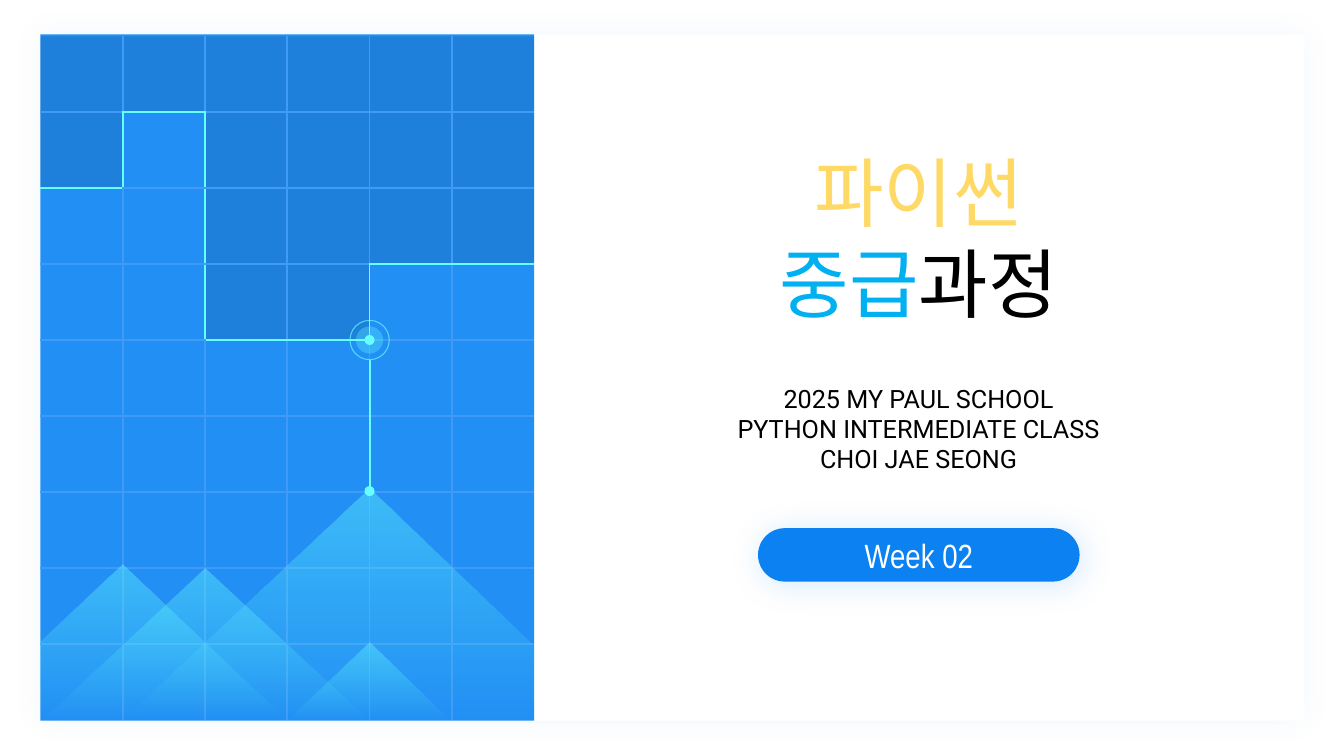
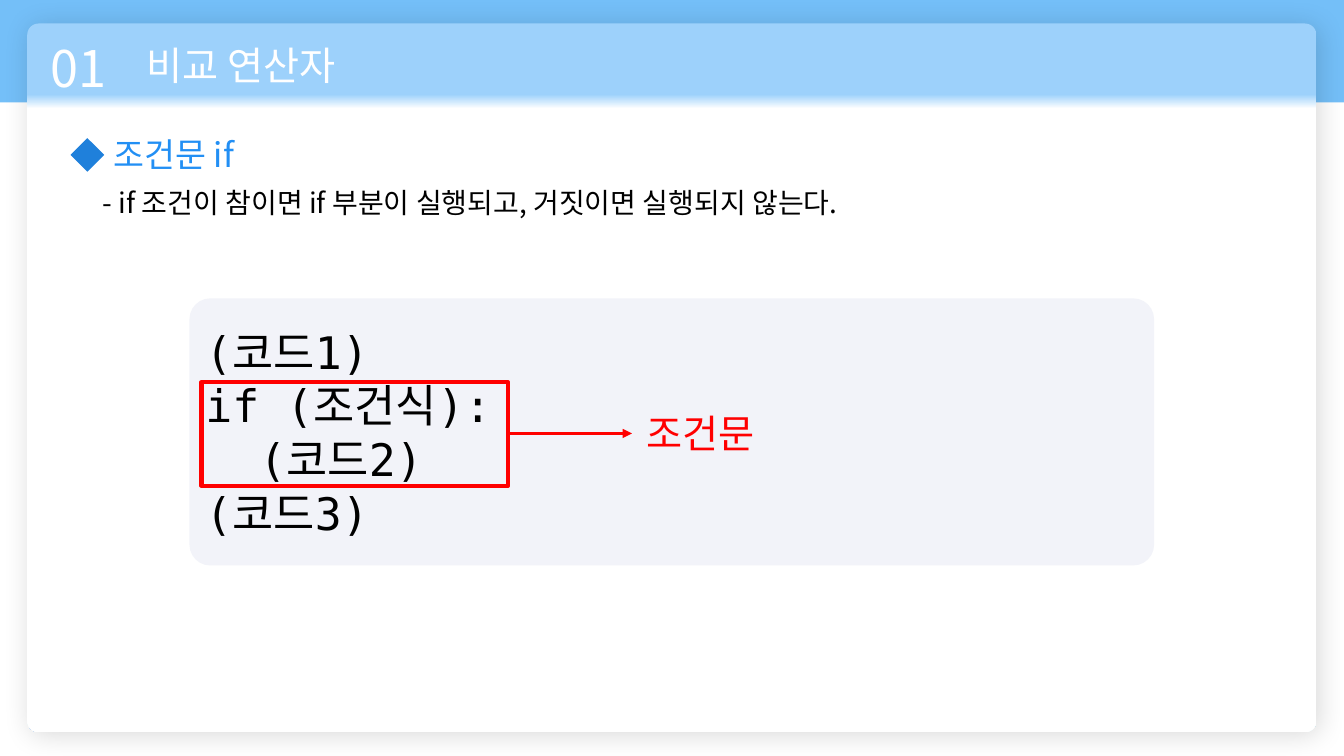
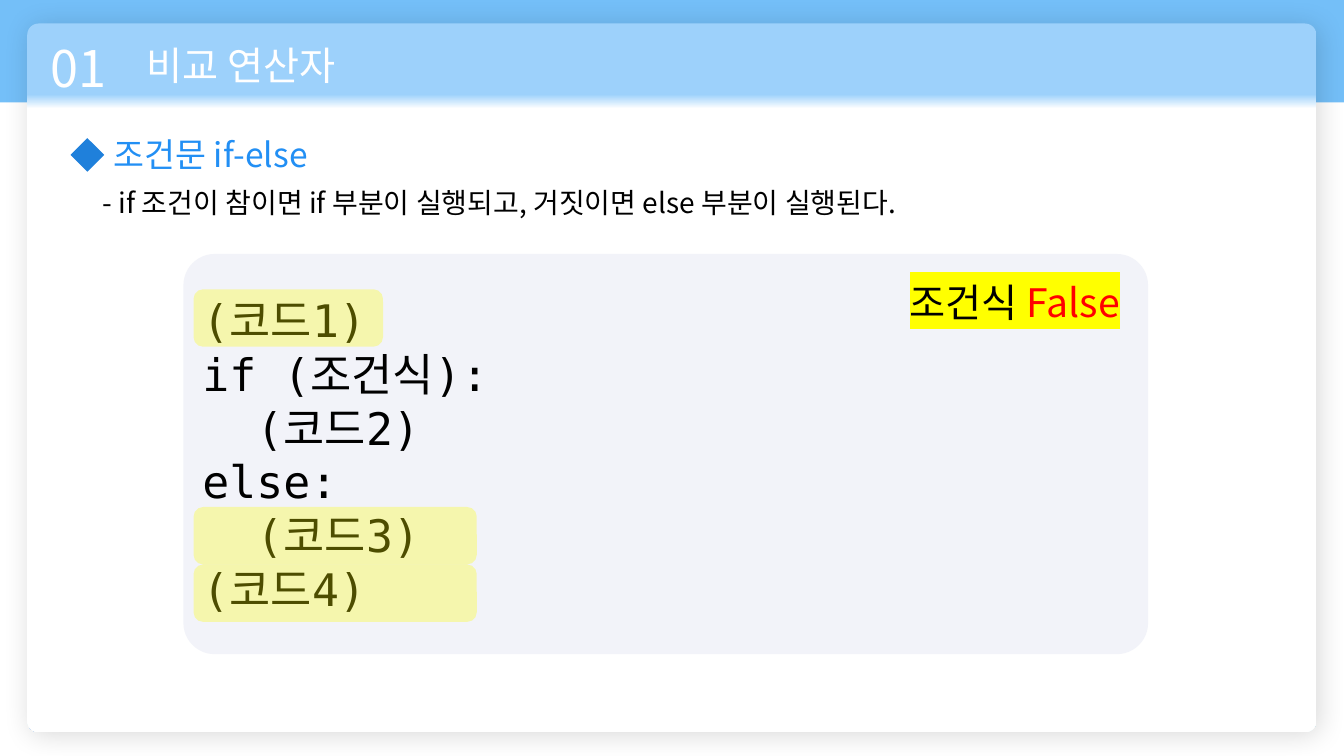
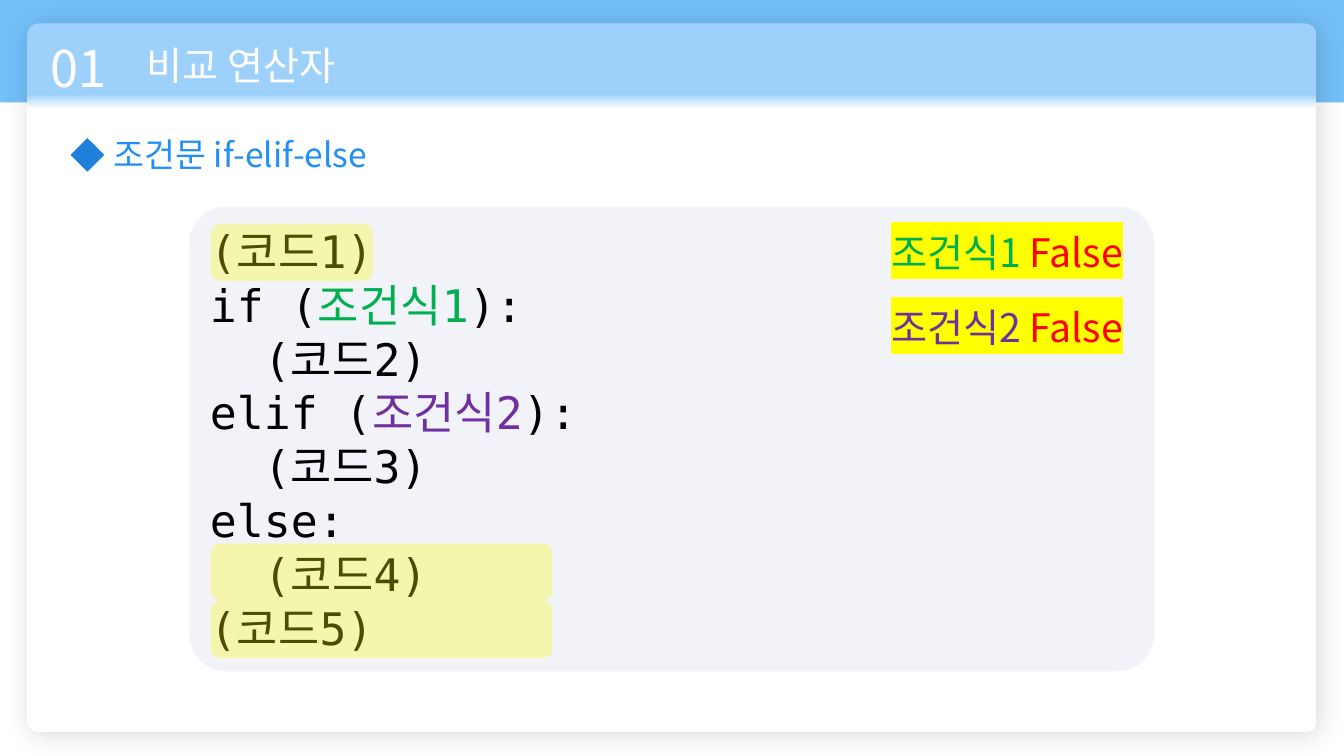
"""Build the title and three conditional-statement slides of a Python course."""
from dataclasses import dataclass

from pptx import Presentation
from pptx.dml.color import RGBColor
from pptx.enum.shapes import MSO_CONNECTOR, MSO_SHAPE
from pptx.enum.text import MSO_ANCHOR, MSO_AUTO_SIZE, PP_ALIGN
from pptx.oxml import parse_xml
from pptx.oxml.ns import nsdecls, qn
from pptx.oxml.xmlchemy import OxmlElement
from pptx.util import Inches, Pt

RECT, ROUND = MSO_SHAPE.RECTANGLE, MSO_SHAPE.ROUNDED_RECTANGLE
OVAL, DIAMOND = MSO_SHAPE.OVAL, MSO_SHAPE.DIAMOND
STRAIGHT = MSO_CONNECTOR.STRAIGHT
LEFT, CENTER, RIGHT = PP_ALIGN.LEFT, PP_ALIGN.CENTER, PP_ALIGN.RIGHT
MIDDLE = MSO_ANCHOR.MIDDLE
FIT = MSO_AUTO_SIZE.SHAPE_TO_FIT_TEXT


@dataclass(frozen=True)
class Theme:
    """Colours, fonts and type sizes."""
    white: str = "FFFFFF"
    black: str = "000000"
    blue: str = "228FF4"
    pill: str = "0C81F2"
    diamond: str = "1F80DB"
    mesh: str = "409BF6"
    cyan: str = "66FFFF"
    band: str = "74BFF8"
    header: str = "9DD1FB"
    code_bg: str = "F2F3F9"
    gold: str = "FFD966"
    sky: str = "00B0F0"
    red: str = "FF0000"
    yellow: str = "FFFF00"
    green: str = "00B050"
    purple: str = "7030A0"
    sans: str = "Noto Sans CJK KR"
    mono: str = "DejaVu Sans Mono"
    latin: str = "Roboto"
    narrow: str = "Arial Narrow"
    cover: int = 54
    number: int = 36
    code: int = 32
    title: int = 28
    head: int = 24
    note: int = 20
    small: int = 18


T = Theme()
COLS, ROWS = 40, 22.5
MESH_LEFT, MESH_TOP, MESH_COL, MESH_ROW = 1.2, 1.08, 2.45, 2.26
DARK_DEPTHS, MESH_ROWS = (2, 1, 4, 4, 3, 3), 9
CODE_LEFT, CODE_WIDTH = 5.64, 28.71
MARK_HEIGHT = 1.71


def u(n):
    """Convert grid units to a length; the slide is 40 by 22.5 units."""
    return Inches(n / 3)


def mesh(c, r):
    """Return the slide position of a mesh column and row."""
    return MESH_LEFT + MESH_COL * c, MESH_TOP + MESH_ROW * r


def color_xml(color, alpha=100):
    """Return the XML of a colour with an opacity in percent."""
    return f'<a:srgbClr val="{color}"><a:alpha val="{alpha * 1000}"/></a:srgbClr>'


def set_alpha(fill_parent, alpha):
    """Make the solid fill under an element translucent."""
    color = fill_parent.find(qn("a:solidFill")).find(qn("a:srgbClr"))
    mark = OxmlElement("a:alpha")
    mark.set("val", str(alpha * 1000))
    color.append(mark)


def paint(sp, fill=None, alpha=100, line=None, weight=1.5, line_alpha=100):
    """Set the fill and line of a shape and clear its shadow."""
    sp.shadow.inherit = False
    if fill:
        sp.fill.solid()
        sp.fill.fore_color.rgb = RGBColor.from_string(fill)
        if alpha < 100:
            set_alpha(sp._element.spPr, alpha)
    else:
        sp.fill.background()
    if line:
        sp.line.color.rgb = RGBColor.from_string(line)
        sp.line.width = Pt(weight)
        if line_alpha < 100:
            set_alpha(sp.line._ln, line_alpha)
    else:
        sp.line.fill.background()


def add_shape(s, kind, x, y, w, h, fill=None, radius=None, **look):
    """Add a preset shape in grid units."""
    sp = s.shapes.add_shape(kind, u(x), u(y), u(w), u(h))
    if radius is not None:
        sp.adjustments[0] = radius
    paint(sp, fill, **look)
    return sp


def add_shadow(sp, color, alpha, blur, dist=0, angle=0):
    """Give a shape a soft outer shadow."""
    sp._element.spPr.find(qn("a:effectLst")).append(parse_xml(
        f'<a:outerShdw {nsdecls("a")} blurRad="{Pt(blur)}" dist="{Pt(dist)}" '
        f'dir="{angle * 60000}" rotWithShape="0">{color_xml(color, alpha)}</a:outerShdw>'))


def add_gradient(sp, *stops):
    """Replace the empty fill of a shape by a downward gradient."""
    marks = "".join(f'<a:gs pos="{pos * 1000}">{color_xml(color, alpha)}</a:gs>'
                    for pos, color, alpha in stops)
    spPr = sp._element.spPr
    spPr.replace(spPr.find(qn("a:noFill")), parse_xml(
        f'<a:gradFill {nsdecls("a")} rotWithShape="1"><a:gsLst>{marks}</a:gsLst>'
        '<a:lin ang="5400000" scaled="0"/></a:gradFill>'))


def add_line(s, x1, y1, x2, y2, color, weight, arrow=False):
    """Add a straight line, with an arrowhead if wanted."""
    line = s.shapes.add_connector(STRAIGHT, u(x1), u(y1), u(x2), u(y2))
    line.line.color.rgb = RGBColor.from_string(color)
    line.line.width = Pt(weight)
    if arrow:
        head = OxmlElement("a:tailEnd")
        head.set("type", "triangle")
        line.line._ln.append(head)
    line._element.spPr.append(OxmlElement("a:effectLst"))


def format_run(r, size, font, color, highlight=None):
    """Set the type of a run."""
    r.font.size = Pt(size)
    r.font.color.rgb = RGBColor.from_string(color)
    r.font.name = font
    latin = r._r.get_or_add_rPr().find(qn("a:latin"))
    ea = OxmlElement("a:ea")
    ea.set("typeface", T.sans)
    latin.addnext(ea)
    if highlight:
        latin.addprevious(parse_xml(
            f'<a:highlight {nsdecls("a")}>{color_xml(highlight)}</a:highlight>'))


def write(tf, lines, size, font=T.sans, color=T.black, align=LEFT, highlight=None):
    """Write lines, each a string or a list of (text, colour) pairs."""
    tf.word_wrap = True
    for i, line in enumerate(lines):
        p = tf.add_paragraph() if i else tf.paragraphs[0]
        p.alignment = align
        for text, tint in [(line, color)] if isinstance(line, str) else line:
            r = p.add_run()
            r.text = text
            format_run(r, size, font, tint, highlight)


def add_text(s, x, y, w, h, lines, size, **style):
    """Add a text box in grid units."""
    tf = s.shapes.add_textbox(u(x), u(y), u(w), u(h)).text_frame
    write(tf, lines, size, **style)
    tf.auto_size = FIT


def style_cell(cell, dark, edges):
    """Fill a mesh cell and draw its left, right, top and bottom edges."""
    tcPr = cell._tc.get_or_add_tcPr()
    if dark:
        cell.fill.solid()
        cell.fill.fore_color.rgb = RGBColor.from_string(T.black)
        set_alpha(tcPr, 10)
    else:
        cell.fill.background()
    for i, (side, color) in enumerate(zip("LRTB", edges)):
        fill = f"<a:solidFill>{color_xml(color)}</a:solidFill>" if color else "<a:noFill/>"
        tcPr.insert(i, parse_xml(
            f'<a:ln{side} {nsdecls("a")} w="{Pt(1.5)}">{fill}</a:ln{side}>'))


def add_mesh(s):
    """Add the mesh table, with a bright edge between dark and light cells."""
    cols = len(DARK_DEPTHS)
    table = s.shapes.add_table(MESH_ROWS, cols, u(MESH_LEFT), u(MESH_TOP),
                               u(MESH_COL * cols), u(MESH_ROW * MESH_ROWS)).table
    table.first_row = table.horz_banding = False

    def is_dark(c, r):
        return r < DARK_DEPTHS[c]

    def edge(c, r, c2, r2):
        if not (0 <= c2 < cols and 0 <= r2 < MESH_ROWS):
            return None
        return T.mesh if is_dark(c, r) == is_dark(c2, r2) else T.cyan

    for r in range(MESH_ROWS):
        for c in range(cols):
            near = ((c - 1, r), (c + 1, r), (c, r - 1), (c, r + 1))
            style_cell(table.cell(r, c), is_dark(c, r), [edge(c, r, *n) for n in near])


def add_circle(s, c, r, d, fill=None, **look):
    """Add a circle centred on a mesh point."""
    x, y = mesh(c, r)
    add_shape(s, OVAL, x - d / 2, y - d / 2, d, d, fill, **look)


def add_mountain(s, *points):
    """Add a fading mountain from mesh points."""
    start, *rest = [tuple(u(n) for n in mesh(*point)) for point in points]
    builder = s.shapes.build_freeform(*start)
    builder.add_line_segments(rest, close=True)
    sp = builder.convert_to_shape()
    paint(sp)
    add_gradient(sp, (0, T.cyan, 41), (100, T.cyan, 0))


def add_signal(s):
    """Add the radar point with its stem."""
    add_circle(s, 4, 4, 0.81, T.cyan, alpha=30)
    add_circle(s, 4, 4, 1.17, line=T.cyan, weight=0.75, line_alpha=70)
    add_line(s, *mesh(4, 4.26), *mesh(4, 5.95), T.cyan, 1.5)
    add_circle(s, 4, 4, 0.3, T.cyan)


def cover_slide(s):
    """Build the title slide."""
    top, height = 1.02, 20.43
    frame = add_shape(s, RECT, MESH_LEFT, top, 37.62, height, T.white)
    add_shadow(frame, T.pill, 5, 20)
    add_shape(s, RECT, MESH_LEFT, top, 14.7, height, T.blue)
    pill = add_shape(s, ROUND, 22.56, 15.72, 9.57, 1.59, T.pill, 0.5)
    add_shadow(pill, T.pill, 17, 24, 3, 45)
    pill.text_frame.vertical_anchor = MIDDLE
    write(pill.text_frame, ["Week 02"], T.head, T.narrow, T.white, CENTER)
    add_mesh(s)
    add_signal(s)
    add_mountain(s, (0, 9), (0, 7.97), (1, 6.96), (3.02, 9.02))
    add_mountain(s, (0.98, 9.02), (4, 5.95), (5.99, 8.02), (5.99, 9.02))
    add_mountain(s, (0, 9.03), (2, 7.01), (4.01, 9.03))
    add_mountain(s, (2.99, 9.02), (4, 7.99), (5, 9.03))
    add_circle(s, 4, 5.99, 0.3, T.cyan)
    add_text(s, 17.34, 4.2, 20, 5.76,
             [[("파이썬", T.gold)], [("중급", T.sky), ("과정", T.black)]],
             T.cover, align=CENTER)
    add_text(s, 17.34, 11.25, 20, 3.03,
             ["2025 MY PAUL SCHOOL", "PYTHON INTERMEDIATE CLASS", "CHOI JAE SEONG"],
             T.small, font=T.latin, align=CENTER)


def lesson_frame(s, heading, note=None):
    """Add the band, card, title and heading of a lesson slide."""
    add_shape(s, RECT, 0, 0, COLS, 3.05, T.band)
    card = add_shape(s, ROUND, 0.81, 0.7, 38.37, 21.09, radius=0.016)
    add_gradient(card, (10, T.header, 100), (12, T.white, 100), (100, T.white, 100))
    add_shadow(card, T.black, 14, 20, 3, 45)
    add_text(s, 1.2, 0.96, 3.06, 2.13, ["01"], T.number, color=T.white)
    add_text(s, 4.08, 1.08, 14.7, 1.71, ["비교 연산자"], T.title, color=T.white)
    add_text(s, 3.09, 3.84, 9.9, 1.5, [heading], T.head, color=T.blue)
    add_shape(s, DIAMOND, 2.1, 4.11, 1, 1, T.diamond)
    if note:
        add_text(s, 2.76, 5.37, 24.2, 1.32, [note], T.note)


def add_code(s, x, y, h, lines):
    """Add a code panel."""
    panel = add_shape(s, ROUND, x, y, CODE_WIDTH, h, T.code_bg, 0.078)
    panel.text_frame.vertical_anchor = MIDDLE
    write(panel.text_frame, lines, T.code, T.mono)


def add_marks(s, x, *marks):
    """Mark executed lines, each given as top and width."""
    for y, w in marks:
        add_shape(s, ROUND, x, y, w, MARK_HEIGHT, T.yellow, alpha=30)


def add_verdict(s, x, y, *parts):
    """Add the highlighted outcome of a condition."""
    add_text(s, x, y, 11.28, MARK_HEIGHT, [[*parts, ("False", T.red)]], T.title,
             align=RIGHT, highlight=T.yellow)


def if_slide(s):
    """Build the slide on if."""
    lesson_frame(s, "조건문 if",
                 "- if 조건이 참이면 if 부분이 실행되고, 거짓이면 실행되지 않는다.")
    add_code(s, CODE_LEFT, 8.88, 7.95, ["(코드1)", "if (조건식):", "  (코드2)", "(코드3)"])
    add_shape(s, RECT, 6, 11.37, 9.12, 3.09, line=T.red, weight=3)
    add_line(s, 15.12, 12.9, 18.81, 12.9, T.red, 2.25, arrow=True)
    add_text(s, 18.96, 12.03, 4.5, 1.71, ["조건문"], T.title, color=T.red)


def if_else_slide(s):
    """Build the slide on if-else."""
    lesson_frame(s, "조건문 if-else",
                 "- if 조건이 참이면 if 부분이 실행되고, 거짓이면 else 부분이 실행된다.")
    add_code(s, 5.46, 7.56, 11.91, ["(코드1)", "if (조건식):", "  (코드2)",
                                    "else:", "  (코드3)", "(코드4)"])
    add_verdict(s, 22.35, 8.13, ("조건식 ", T.black))
    add_marks(s, 5.76, (8.61, 5.64), (15.09, 8.43), (15.09 + MARK_HEIGHT, 8.43))


def elif_slide(s):
    """Build the slide on if-elif-else."""
    lesson_frame(s, "조건문 if-elif-else")
    first, second = ("조건식1", T.green), ("조건식2", T.purple)
    add_code(s, CODE_LEFT, 6.15, 13.83, [
        "(코드1)", [("if (", T.black), first, ("):", T.black)], "  (코드2)",
        [("elif (", T.black), second, ("):", T.black)], "  (코드3)",
        "else:", "  (코드4)", "(코드5)"])
    for y, condition in ((6.66, first), (8.88, second)):
        add_verdict(s, 22.44, y, condition, (" ", T.black))
    add_marks(s, 6.27, (6.66, 4.83), (16.17, 10.17), (16.17 + MARK_HEIGHT, 10.17))


def main():
    """Build and save the presentation."""
    prs = Presentation()
    prs.slide_width, prs.slide_height = u(COLS), u(ROWS)
    for build in (cover_slide, if_slide, if_else_slide, elif_slide):
        build(prs.slides.add_slide(prs.slide_layouts[6]))
    prs.save("out.pptx")


if __name__ == "__main__":
    main()
